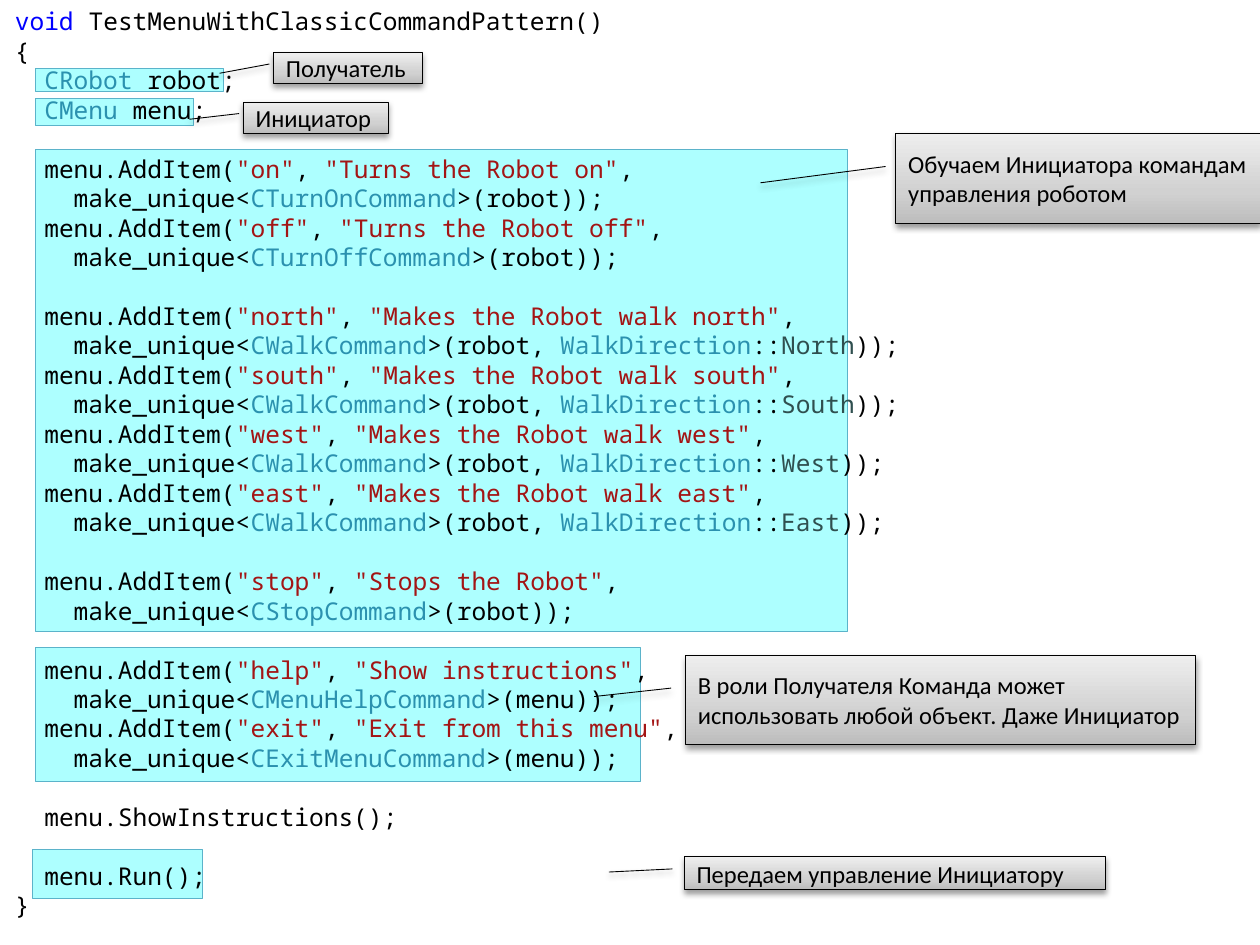
from pptx import Presentation
from pptx.dml.color import RGBColor
from pptx.enum.shapes import MSO_SHAPE as Preset
from pptx.enum.text import MSO_ANCHOR as Anchor, PP_ALIGN as Align
from pptx.oxml import parse_xml
from pptx.oxml.ns import nsdecls
from pptx.util import Inches, Pt

SLIDE_WIDTH, SLIDE_HEIGHT = Inches(10), Inches(7.5)
CODE_FONT, NOTE_FONT, FONT_SIZE = "Noto Sans Mono", "Calibri", Pt(14)
CODE_ROW, CODE_INDENT = Pt(16.84), Pt(16.8)

COLORS = {
    "plain": "000000", "keyword": "0000FF", "type": "2B91AF",
    "string": "A31515", "member": "2F4F4F",
    "highlight": "5DFFFF", "highlight_edge": "5BB3CA", "note_edge": "000000",
    "note_dark": "BDBDBD", "note_middle": "D1D1D1", "note_light": "EEEEEE",
    "shadow": "000000",
}

# Left, top, width, height in percent of the slide.
HIGHLIGHTS = [
    (2.8, 7.2, 14.9, 2.53),
    (2.8, 10.4, 12.6, 2.93),
    (2.8, 15.87, 64.5, 50.93),
    (2.8, 68.53, 48, 14.13),
    (2.6, 89.87, 13.5, 5.2),
]

# Text, area in percent, and pointer end (y, x) as shares of the callout.
CALLOUTS = [
    ("Получатель", (21.7, 5.6, 11.8, 3.2), (0.674, -0.363)),
    ("Инициатор", (19.3, 10.8, 11.5, 3.33), (0.551, -0.372)),
    ("Обучаем Инициатора командам управления роботом",
     (71.1, 14.13, 28.9, 9.47), (0.551, -0.372)),
    ("В роли Получателя Команда может использовать любой объект. Даже Инициатор",
     (54.4, 69.33, 40.5, 9.47), (0.463, -0.179)),
    ("Передаем управление Инициатору",
     (54.3, 90.67, 33.4, 3.47), (0.463, -0.179)),
]
POINTER_START = (0.369, -0.028)


def color(name):
    """Return the named colour."""
    return RGBColor.from_string(COLORS[name])


def area(left, top, width, height):
    """Turn percentages of the slide into lengths."""
    return (int(SLIDE_WIDTH * left / 100), int(SLIDE_HEIGHT * top / 100),
            int(SLIDE_WIDTH * width / 100), int(SLIDE_HEIGHT * height / 100))


def line(level, *tokens, gap=0):
    """Describe a code line: indent level, (text, colour) tokens, rows above."""
    return level, tokens, gap


def menu_item(shortcut, description, command, receiver, direction=None, gap=0):
    """Return the two code lines that add one command to the menu."""
    target = [(f">({receiver}", "plain")]
    if direction:
        target = [(f">({receiver}, ", "plain"), ("WalkDirection", "type"),
                  ("::", "plain"), (direction, "member")]
    return [
        line(1, ("menu.AddItem(", "plain"), (f'"{shortcut}"', "string"),
             (", ", "plain"), (f'"{description}"', "string"), (",", "plain"),
             gap=gap),
        line(2, ("make_unique<", "plain"), (command, "type"), *target,
             ("));", "plain")),
    ]


def code_lines():
    """Return all lines of the listing."""
    lines = [
        line(0, ("void ", "keyword"),
             ("TestMenuWithClassicCommandPattern()", "plain")),
        line(0, ("{", "plain")),
        line(1, ("CRobot", "type"), (" robot;", "plain")),
        line(1, ("CMenu", "type"), (" menu;", "plain")),
        *menu_item("on", "Turns the Robot on", "CTurnOnCommand", "robot", gap=1),
        *menu_item("off", "Turns the Robot off", "CTurnOffCommand", "robot"),
    ]
    for index, direction in enumerate(("North", "South", "West", "East")):
        side = direction.lower()
        lines += menu_item(side, f"Makes the Robot walk {side}", "CWalkCommand",
                           "robot", direction, gap=int(index == 0))
    return lines + [
        *menu_item("stop", "Stops the Robot", "CStopCommand", "robot", gap=1),
        *menu_item("help", "Show instructions", "CMenuHelpCommand", "menu", gap=1),
        *menu_item("exit", "Exit from this menu", "CExitMenuCommand", "menu"),
        line(1, ("menu.ShowInstructions();", "plain"), gap=1),
        line(1, ("menu.Run();", "plain"), gap=1),
        line(0, ("}", "plain")),
    ]


def add_highlight(slide, place):
    """Add a half-transparent rectangle behind the code."""
    highlight = slide.shapes.add_shape(Preset.RECTANGLE, *area(*place))
    highlight.shadow.inherit = False
    highlight.fill.solid()
    highlight.fill.fore_color.rgb = color("highlight")
    tint = highlight.fill._xPr.solidFill[0]
    tint.append(parse_xml(f'<a:alpha {nsdecls("a")} val="50000"/>'))
    highlight.line.color.rgb = color("highlight_edge")
    highlight.line.width = Pt(0.5)


def add_code(slide, lines):
    """Add the coloured listing, one paragraph a line."""
    listing = slide.shapes.add_textbox(*area(0.2, 0, 97.6, 98.67)).text_frame
    listing.word_wrap = True
    for index, (level, tokens, gap) in enumerate(lines):
        row = listing.add_paragraph() if index else listing.paragraphs[0]
        row.font.name, row.font.size = CODE_FONT, FONT_SIZE
        row.line_spacing = CODE_ROW
        row.space_before = CODE_ROW * gap
        row.space_after = Pt(0)
        row._p.get_or_add_pPr().set("marL", str(int(CODE_INDENT * level)))
        for text, role in tokens:
            token = row.add_run()
            token.text = text
            token.font.color.rgb = color(role)
            token.font.name, token.font.size = CODE_FONT, FONT_SIZE


def add_note_finish(callout):
    """Give a callout its upward gradient and soft shadow."""
    stops = "".join(
        f'<a:gs pos="{share * 1000}"><a:srgbClr val="{COLORS[name]}"/></a:gs>'
        for share, name in ((0, "note_dark"), (35, "note_middle"),
                            (100, "note_light")))
    properties = callout._element.spPr
    properties.prstGeom.addnext(parse_xml(
        f'<a:gradFill {nsdecls("a")} rotWithShape="1"><a:gsLst>{stops}</a:gsLst>'
        '<a:lin ang="16200000" scaled="1"/></a:gradFill>'))
    properties.append(parse_xml(
        f'<a:effectLst {nsdecls("a")}><a:outerShdw blurRad="{Pt(3.5)}" '
        f'dist="{Pt(2)}" dir="5400000" rotWithShape="0">'
        f'<a:srgbClr val="{COLORS["shadow"]}"><a:alpha val="38000"/></a:srgbClr>'
        '</a:outerShdw></a:effectLst>'))


def add_callout(slide, text, place, pointer_end):
    """Add an explanatory note with a pointer line."""
    callout = slide.shapes.add_shape(Preset.LINE_CALLOUT_1, *area(*place))
    for index, share in enumerate(POINTER_START + pointer_end):
        callout.adjustments[index] = share
    callout.line.color.rgb = color("note_edge")
    callout.line.width = Pt(0.5)
    add_note_finish(callout)
    frame = callout.text_frame
    frame.word_wrap = True
    frame.vertical_anchor = Anchor.MIDDLE
    frame.text = text
    note = frame.paragraphs[0]
    note.alignment = Align.LEFT
    note.font.name, note.font.size = NOTE_FONT, FONT_SIZE
    note.font.color.rgb = color("plain")


def main():
    """Build and save the slide."""
    deck = Presentation()
    deck.slide_width, deck.slide_height = SLIDE_WIDTH, SLIDE_HEIGHT
    slide = deck.slides.add_slide(deck.slide_layouts[6])
    for place in HIGHLIGHTS:
        add_highlight(slide, place)
    add_code(slide, code_lines())
    for text, place, pointer_end in CALLOUTS:
        add_callout(slide, text, place, pointer_end)
    deck.save("out.pptx")


main()
